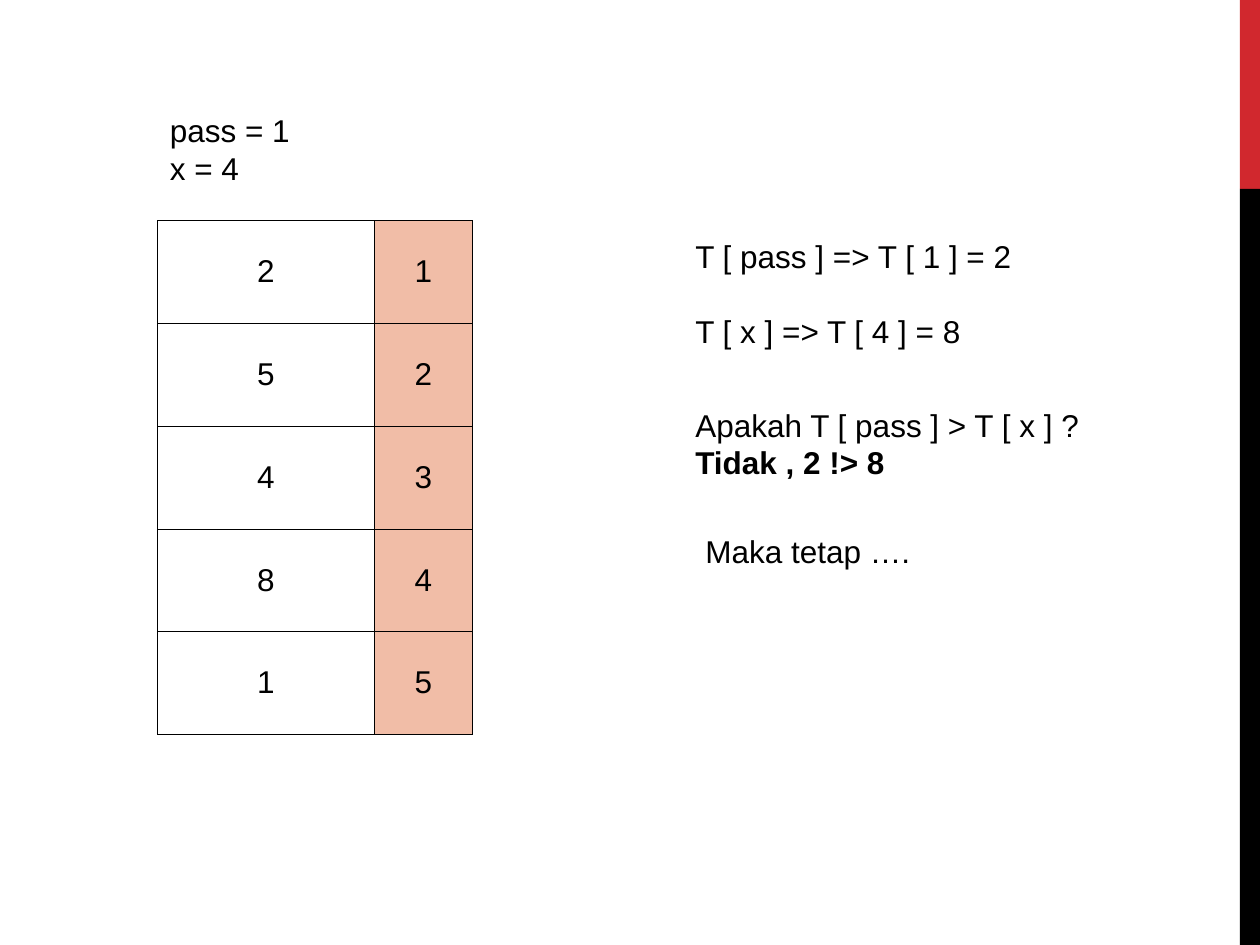
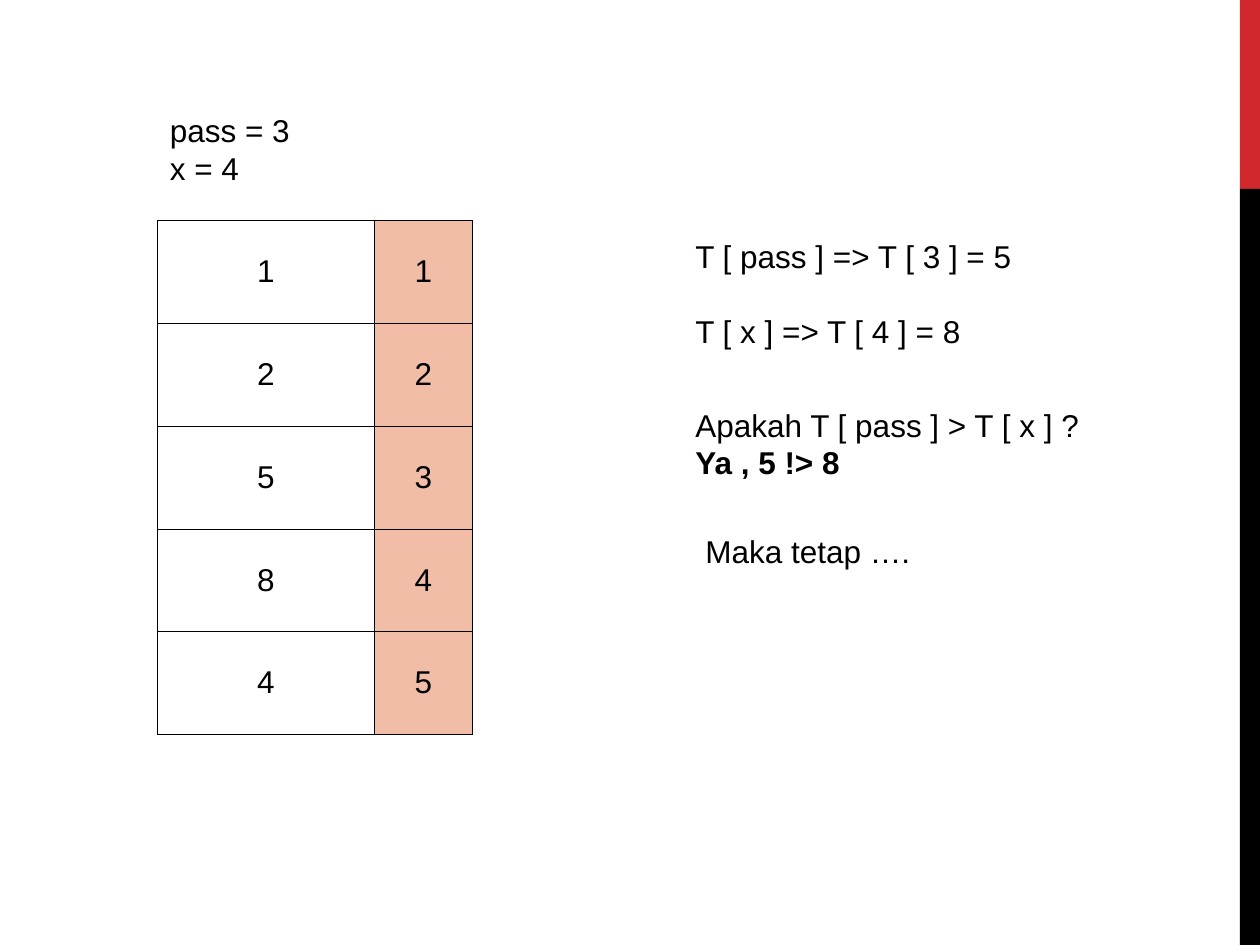
from dataclasses import dataclass

from lxml import etree
from pptx import Presentation
from pptx.dml.color import RGBColor
from pptx.enum import shapes, text
from pptx.oxml import ns
from pptx.slide import Slide
from pptx.table import _Cell as Cell
from pptx.text.text import _Paragraph as Paragraph
from pptx.util import Inches, Pt

COLOURS = {"accent": "D1282E", "ink": "000000", "index": "F1BDA7"}
FONT = "Arial"
TEXT_SIZE = Pt(18)
LINE_PITCH = Pt(21.6)
BORDER = Pt(0.45)
BLANK_LAYOUT = 6


@dataclass(frozen=True)
class Band:
    top: float
    height: float
    colour: str


@dataclass(frozen=True)
class Span:
    words: str
    bold: bool = False


@dataclass(frozen=True)
class TextBlock:
    left: float
    top: float
    width: float
    height: float
    lines: list[list[Span]]
    gap: Pt = Pt(0)


@dataclass(frozen=True)
class Comparison:
    """One step of the sort; positions count from 1."""
    values: list[int]
    pass_position: int
    x_position: int
    verdict: str


BANDS = [Band(0, 1.5, "accent"), Band(1.5, 6, "ink")]
STEPS = [
    Comparison([2, 5, 4, 8, 1], 1, 4, "Tidak"),
    Comparison([1, 2, 5, 8, 4], 3, 4, "Ya"),
]


def colour(name: str) -> RGBColor:
    return RGBColor.from_string(COLOURS[name])


def add_span(para: Paragraph, span: Span) -> None:
    run = para.add_run()
    run.text = span.words
    run.font.name = FONT
    run.font.size = TEXT_SIZE
    run.font.bold = span.bold
    run.font.color.rgb = colour("ink")


def add_bands(page: Slide) -> None:
    for band in BANDS:
        box = page.shapes.add_shape(
            shapes.MSO_SHAPE.RECTANGLE,
            Inches(9.84), Inches(band.top), Inches(0.16), Inches(band.height))
        box.shadow.inherit = False
        box.fill.solid()
        box.fill.fore_color.rgb = colour(band.colour)
        box.line.fill.background()


def add_text(page: Slide, block: TextBlock) -> None:
    box = page.shapes.add_textbox(
        Inches(block.left), Inches(block.top),
        Inches(block.width), Inches(block.height))
    frame = box.text_frame
    frame.word_wrap = True
    frame.auto_size = text.MSO_AUTO_SIZE.SHAPE_TO_FIT_TEXT
    for number, spans in enumerate(block.lines):
        para = frame.add_paragraph() if number else frame.paragraphs[0]
        para.line_spacing = LINE_PITCH
        if number:
            para.space_before = block.gap
        for span in spans:
            add_span(para, span)


def add_borders(cell: Cell) -> None:
    properties = cell._tc.get_or_add_tcPr()
    for side in ("lnL", "lnR", "lnT", "lnB"):
        line = etree.SubElement(properties, ns.qn(f"a:{side}"), w=str(int(BORDER)))
        fill = etree.SubElement(line, ns.qn("a:solidFill"))
        etree.SubElement(fill, ns.qn("a:srgbClr"), val=COLOURS["ink"])


def add_array(page: Slide, values: list[int]) -> None:
    """Table of values with their positions in a tinted column."""
    table = page.shapes.add_table(
        len(values), 2, Inches(1.25), Inches(1.75), Inches(2.5), Inches(4.08)).table
    table.first_row = table.horz_banding = False
    for column, width in zip(table.columns, (1.72, 0.78)):
        column.width = Inches(width)
    for row, value in enumerate(values):
        for column, number in enumerate((value, row + 1)):
            cell = table.cell(row, column)
            add_borders(cell)
            if column:
                cell.fill.solid()
                cell.fill.fore_color.rgb = colour("index")
            else:
                cell.fill.background()
            cell.vertical_anchor = text.MSO_ANCHOR.MIDDLE
            para = cell.text_frame.paragraphs[0]
            para.alignment = text.PP_ALIGN.CENTER
            add_span(para, Span(str(number)))


def text_blocks(step: Comparison) -> list[TextBlock]:
    first, second = step.pass_position, step.x_position
    pass_value, x_value = step.values[first - 1], step.values[second - 1]
    return [
        TextBlock(1.25, 0.83, 1.83, 0.7,
                  [[Span(f"pass = {first}")], [Span(f"x = {second}")]]),
        TextBlock(5.42, 1.83, 3.58, 1,
                  [[Span(f"T [ pass ] => T [ {first} ] = {pass_value}")],
                   [Span(f"T [ x ] => T [ {second} ] = {x_value}")]],
                  gap=LINE_PITCH),
        TextBlock(5.42, 3.17, 3.42, 0.7,
                  [[Span("Apakah T [ pass ] > T [ x ] ? "),
                    Span(f"{step.verdict} , {pass_value} !> {x_value}", bold=True)]]),
        TextBlock(5.5, 4.17, 3.17, 0.4, [[Span("Maka tetap ….")]]),
    ]


def main() -> None:
    deck = Presentation()
    deck.slide_width, deck.slide_height = Inches(10), Inches(7.5)
    for step in STEPS:
        page = deck.slides.add_slide(deck.slide_layouts[BLANK_LAYOUT])
        add_bands(page)
        add_array(page, step.values)
        for block in text_blocks(step):
            add_text(page, block)
    deck.save("out.pptx")


if __name__ == "__main__":
    main()
